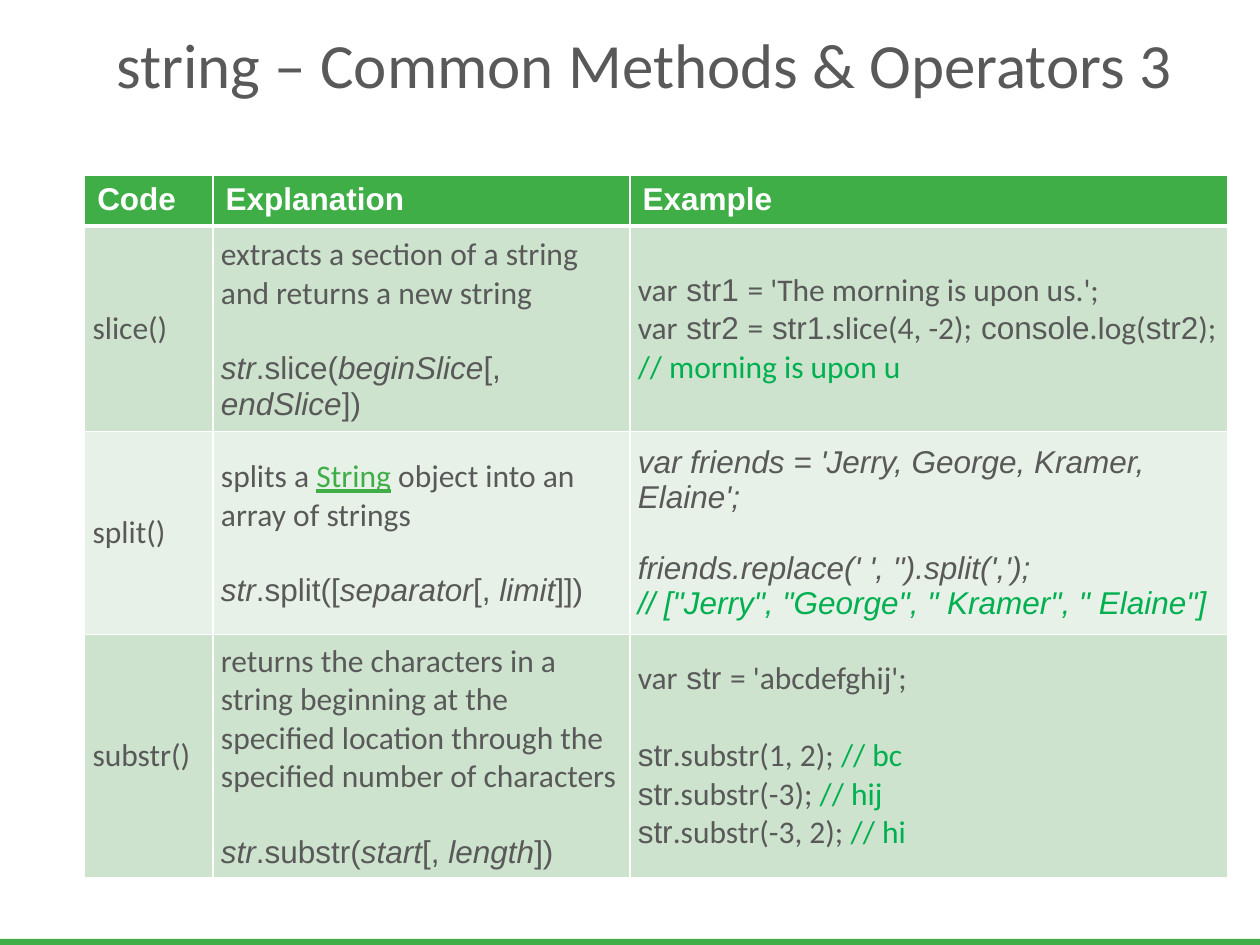
from lxml.etree import SubElement
from pptx import Presentation
from pptx.dml.color import RGBColor
from pptx.enum.shapes import MSO_SHAPE as Shape
from pptx.enum.text import MSO_ANCHOR as Anchor
from pptx.oxml.ns import qn
from pptx.util import Pt

COLORS = {
    "white": "FFFFFF",
    "green": "3FAE47",
    "text": "595959",
    "comment": "00B050",
    "dark band": "CDE3CE",
    "light band": "E8F1E8",
}
STYLES = {
    "header": ("Arial", "white", False),
    "body": ("Calibri", "text", False),
    "code": ("Arial", "text", False),
    "variable": ("Arial", "text", True),
    "comment": ("Calibri", "comment", False),
    "variable comment": ("Arial", "comment", True),
    "link": ("Calibri", "green", False),
}
HEADERS = ["Code", "Explanation", "Example"]
COLUMN_WIDTHS = [73.4, 238.2, 341.4]
ROW_HEIGHTS = [26.5, 115, 109.7, 138.7]
LINE_GAP = 22

ROWS = [
    [
        (0, [[("slice()", "body")]]),
        (LINE_GAP, [
            [("extracts a section of a string and returns a new string", "body")],
            [("str", "variable"), (".slice(", "code"), ("beginSlice", "variable"),
             ("[, ", "code"), ("endSlice", "variable"), ("])", "code")],
        ]),
        (0, [
            [("var", "body"), (" str1 ", "code"), ("= 'The morning is upon us.';", "body")],
            [("var", "body"), (" str2 ", "code"), ("=", "body"), (" str1", "code"),
             (".slice(4, -2);", "body"), (" console", "code"), (".log(", "body"),
             ("str2", "code"), (");", "body")],
            [("// morning is upon u", "comment")],
        ]),
    ],
    [
        (0, [[("split()", "body")]]),
        (LINE_GAP, [
            [("splits a ", "body"), ("String", "link"),
             (" object into an array of strings", "body")],
            [("str", "variable"), (".split([", "code"), ("separator", "variable"),
             ("[, ", "code"), ("limit", "variable"), ("]])", "code")],
        ]),
        (20.5, [
            [("var friends = 'Jerry, George, Kramer, Elaine';", "variable")],
            [("friends.replace(' ', '').split(',');", "variable")],
            [('// ["Jerry", "George", " Kramer", " Elaine"]', "variable comment")],
        ]),
    ],
    [
        (0, [[("substr()", "body")]]),
        (LINE_GAP, [
            [("returns the characters in a string beginning at the specified location "
              "through the specified number of characters", "body")],
            [("str", "variable"), (".substr(", "code"), ("start", "variable"),
             ("[, ", "code"), ("length", "variable"), ("])", "code")],
        ]),
        (LINE_GAP, [
            [("var", "body"), (" str ", "code"), ("= 'abcdefghij';", "body")],
            [("str", "code"), (".substr(1, 2); ", "body"), ("// bc", "comment")],
            [("str", "code"), (".substr(-3); ", "body"), ("// hij", "comment")],
            [("str", "code"), (".substr(-3, 2); ", "body"), ("// hi", "comment")],
        ]),
    ],
]


def color(name):
    return RGBColor.from_string(COLORS[name])


def format_cell(cell, fill, top, bottom, side_margin, end_margin):
    properties = cell._tc.get_or_add_tcPr()
    for tag, width in (("a:lnL", 1), ("a:lnR", 1), ("a:lnT", top), ("a:lnB", bottom)):
        line = SubElement(properties, qn(tag), w=str(Pt(width)))
        line_fill = SubElement(line, qn("a:solidFill"))
        SubElement(line_fill, qn("a:srgbClr"), val=COLORS["white"])
    cell.fill.solid()
    cell.fill.fore_color.rgb = color(fill)
    cell.margin_left = cell.margin_right = Pt(side_margin)
    cell.margin_top = cell.margin_bottom = Pt(end_margin)


presentation = Presentation()
presentation.slide_width, presentation.slide_height = Pt(720), Pt(540)
slide = presentation.slides.add_slide(presentation.slide_layouts[6])

footer_bar = slide.shapes.add_shape(Shape.RECTANGLE, Pt(-1.5), Pt(536.5), Pt(723), Pt(5.5))
footer_bar.shadow.inherit = False
footer_bar.fill.solid()
footer_bar.fill.fore_color.rgb = color("green")
footer_bar.line.fill.background()

title = slide.shapes.add_textbox(Pt(59.5), Pt(0), Pt(624), Pt(72))
title.text_frame.word_wrap = True
title.text_frame.vertical_anchor = Anchor.MIDDLE
paragraph = title.text_frame.paragraphs[0]
paragraph.text = "string – Common Methods & Operators 3"
paragraph.font.name = "Calibri"
paragraph.font.size = Pt(36)
paragraph.font.color.rgb = color("text")

table = slide.shapes.add_table(
    len(ROW_HEIGHTS), len(COLUMN_WIDTHS), Pt(48.4), Pt(100.4),
    Pt(sum(COLUMN_WIDTHS)), Pt(sum(ROW_HEIGHTS))).table
for column, width in zip(table.columns, COLUMN_WIDTHS):
    column.width = Pt(width)
for row, height in zip(table.rows, ROW_HEIGHTS):
    row.height = Pt(height)

header_row = [(0, [[(header, "header")]]) for header in HEADERS]
for row_index, row in enumerate([header_row] + ROWS):
    for column_index, (gap, paragraphs) in enumerate(row):
        cell = table.cell(row_index, column_index)
        if row_index == 0:
            format_cell(cell, "green", 1, 3, 7.2, 3.6)
        else:
            band = "dark band" if row_index % 2 else "light band"
            format_cell(cell, band, 3 if row_index == 1 else 1, 1, 4.5, 4.5)
            cell.vertical_anchor = Anchor.MIDDLE
        frame = cell.text_frame
        for index, runs in enumerate(paragraphs):
            paragraph = frame.add_paragraph() if index else frame.paragraphs[0]
            if index == 1 and gap:
                paragraph.space_before = Pt(gap)
            for text, style in runs:
                run = paragraph.add_run()
                run.text = text
                font_name, font_color, italic = STYLES[style]
                run.font.name = font_name
                run.font.size = Pt(18)
                run.font.color.rgb = color(font_color)
                run.font.bold = style == "header"
                run.font.italic = italic
                run.font.underline = style == "link"

presentation.save("out.pptx")
